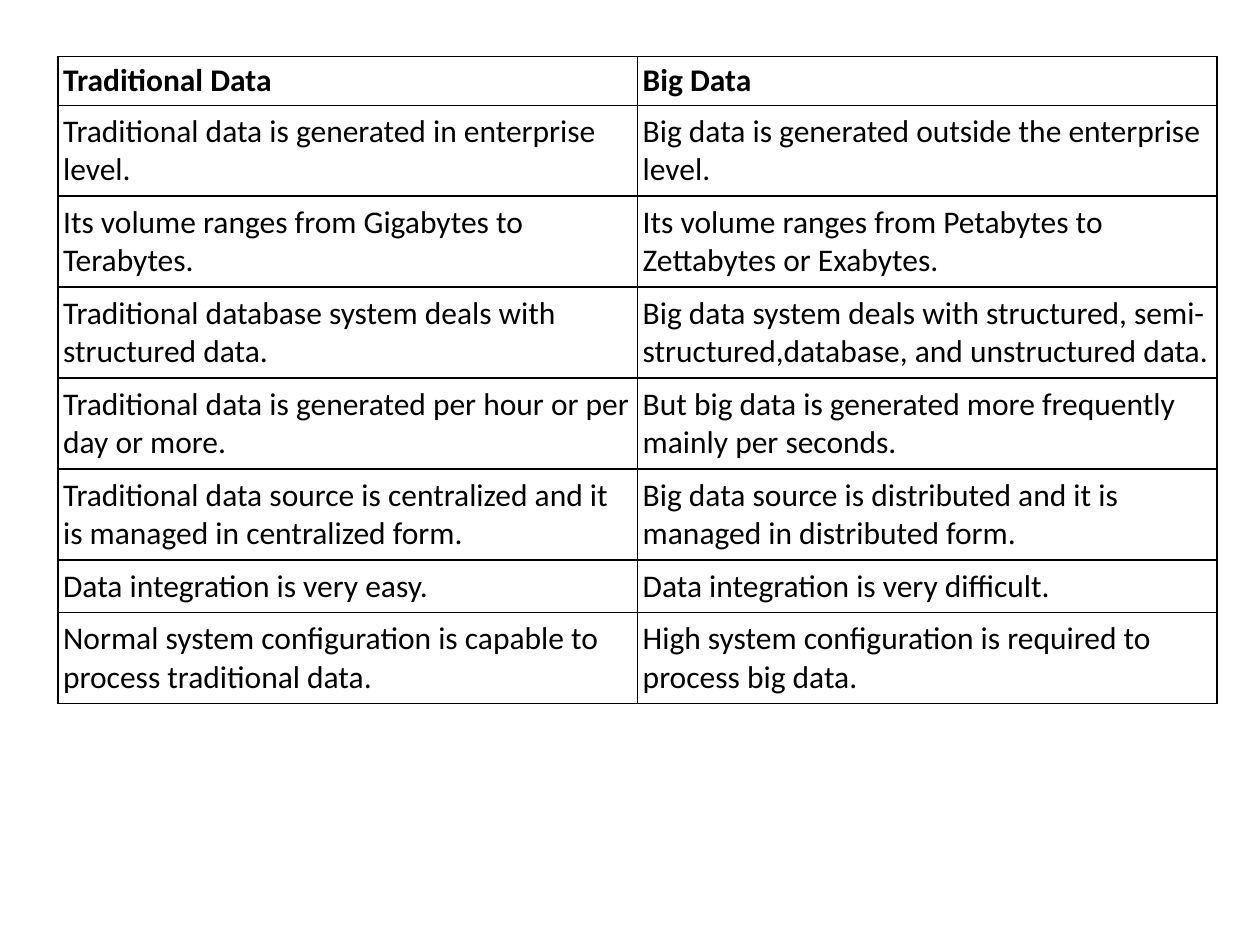
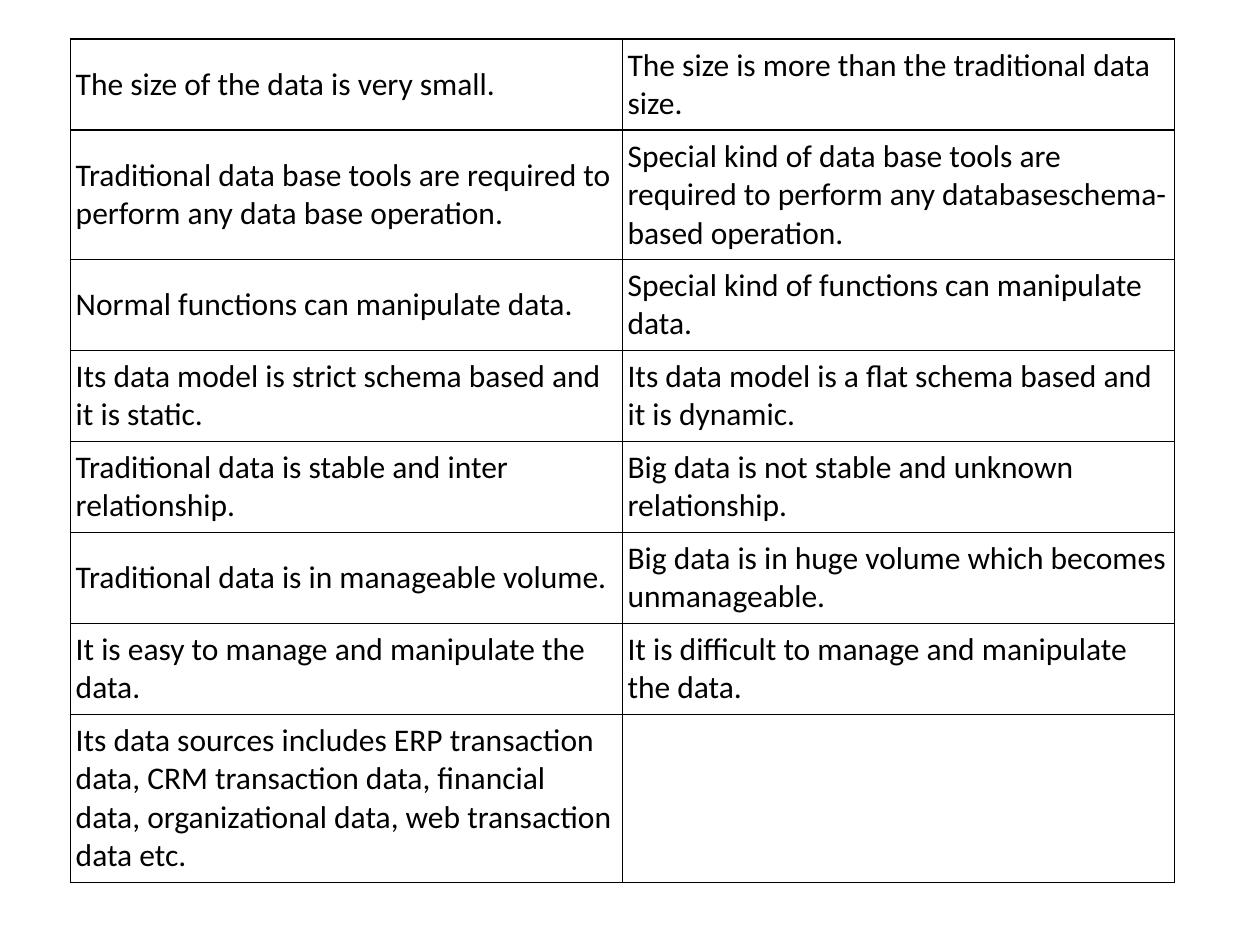
from lxml.etree import SubElement
from pptx import Presentation
from pptx.dml.color import RGBColor
from pptx.enum.text import MSO_ANCHOR
from pptx.oxml.ns import qn
from pptx.util import Inches, Pt

# Shared look
INK = RGBColor(0x00, 0x00, 0x00)
FONT = "Calibri"
TEXT_SIZE = Pt(18)
LINE_HEIGHT = Pt(22)
SIDE_INSET = Pt(3)
HEADER_INSET = Inches(0.04)
BODY_INSET = Pt(4)
BORDER_WIDTH = Pt(1)

# Each row: lines of text it holds, traditional data, big data
first_comparison = [
    (1, "Traditional Data", "Big Data"),
    (2, "Traditional data is generated in enterprise level.",
     "Big data is generated outside the enterprise level."),
    (2, "Its volume ranges from Gigabytes to Terabytes.",
     "Its volume ranges from Petabytes to Zettabytes or Exabytes."),
    (2, "Traditional database system deals with structured data.",
     "Big data system deals with structured, semi-structured,database, "
     "and unstructured data."),
    (2, "Traditional data is generated per hour or per day or more.",
     "But big data is generated more frequently mainly per seconds."),
    (2, "Traditional data source is centralized and it is managed in "
     "centralized form.",
     "Big data source is distributed and it is managed in distributed form."),
    (1, "Data integration is very easy.",
     "Data integration is very difficult."),
    (2, "Normal system configuration is capable to process traditional data.",
     "High system configuration is required to process big data."),
]
second_comparison = [
    (2, "The size of the data is very small.",
     "The size is more than the traditional data size."),
    (3, "Traditional data base tools are required to perform any data base "
     "operation.",
     "Special kind of data base tools are required to perform any "
     "databaseschema-based operation."),
    (2, "Normal functions can manipulate data.",
     "Special kind of functions can manipulate data."),
    (2, "Its data model is strict schema based and it is static.",
     "Its data model is a flat schema based and it is dynamic."),
    (2, "Traditional data is stable and inter relationship.",
     "Big data is not stable and unknown relationship."),
    (2, "Traditional data is in manageable volume.",
     "Big data is in huge volume which becomes unmanageable."),
    (2, "It is easy to manage and manipulate the data.",
     "It is difficult to manage and manipulate the data."),
    (4, "Its data sources includes ERP transaction data, CRM transaction "
     "data, financial data, organizational data, web transaction data etc.",
     ""),
]


def draw_borders(cell):
    """Give the cell a solid line on all four sides."""
    properties = cell._tc.get_or_add_tcPr()
    for side in ("lnL", "lnR", "lnT", "lnB"):
        line = SubElement(properties, qn(f"a:{side}"), w=str(BORDER_WIDTH))
        solid = SubElement(line, qn("a:solidFill"))
        SubElement(solid, qn("a:srgbClr"), val=str(INK))


def fill_cell(cell, text, is_header):
    """Set the cell's borders, margins and text."""
    draw_borders(cell)
    cell.fill.background()
    cell.vertical_anchor = MSO_ANCHOR.MIDDLE
    cell.margin_left = cell.margin_right = SIDE_INSET
    cell.margin_top = cell.margin_bottom = (
        HEADER_INSET if is_header else BODY_INSET)
    if text:
        run = cell.text_frame.paragraphs[0].add_run()
        run.text = text
        run.font.name = FONT
        run.font.size = TEXT_SIZE
        run.font.bold = is_header
        run.font.color.rgb = INK


deck = Presentation()
deck.slide_width, deck.slide_height = Inches(10), Inches(7.5)
blank_layout = deck.slide_layouts[6]

# One comparison table per slide: rows, left, top, column width, header
for comparison, left, top, column_width, has_header in (
    (first_comparison, Inches(0.46), Inches(0.45), Inches(4.6), True),
    (second_comparison, Inches(0.56), Inches(0.31), Inches(4.38), False),
):
    slide = deck.slides.add_slide(blank_layout)
    heights = [lines * LINE_HEIGHT + 2 * BODY_INSET
               for lines, *_ in comparison]
    if has_header:
        heights[0] = LINE_HEIGHT + 2 * HEADER_INSET
    table = slide.shapes.add_table(
        len(comparison), 2, left, top, 2 * column_width, sum(heights)).table
    table.first_row = table.horz_banding = False
    for column in table.columns:
        column.width = column_width

    for row_number, (_, *texts) in enumerate(comparison):
        table.rows[row_number].height = heights[row_number]
        for column_number, text in enumerate(texts):
            fill_cell(table.cell(row_number, column_number), text,
                      has_header and row_number == 0)

deck.save("out.pptx")
